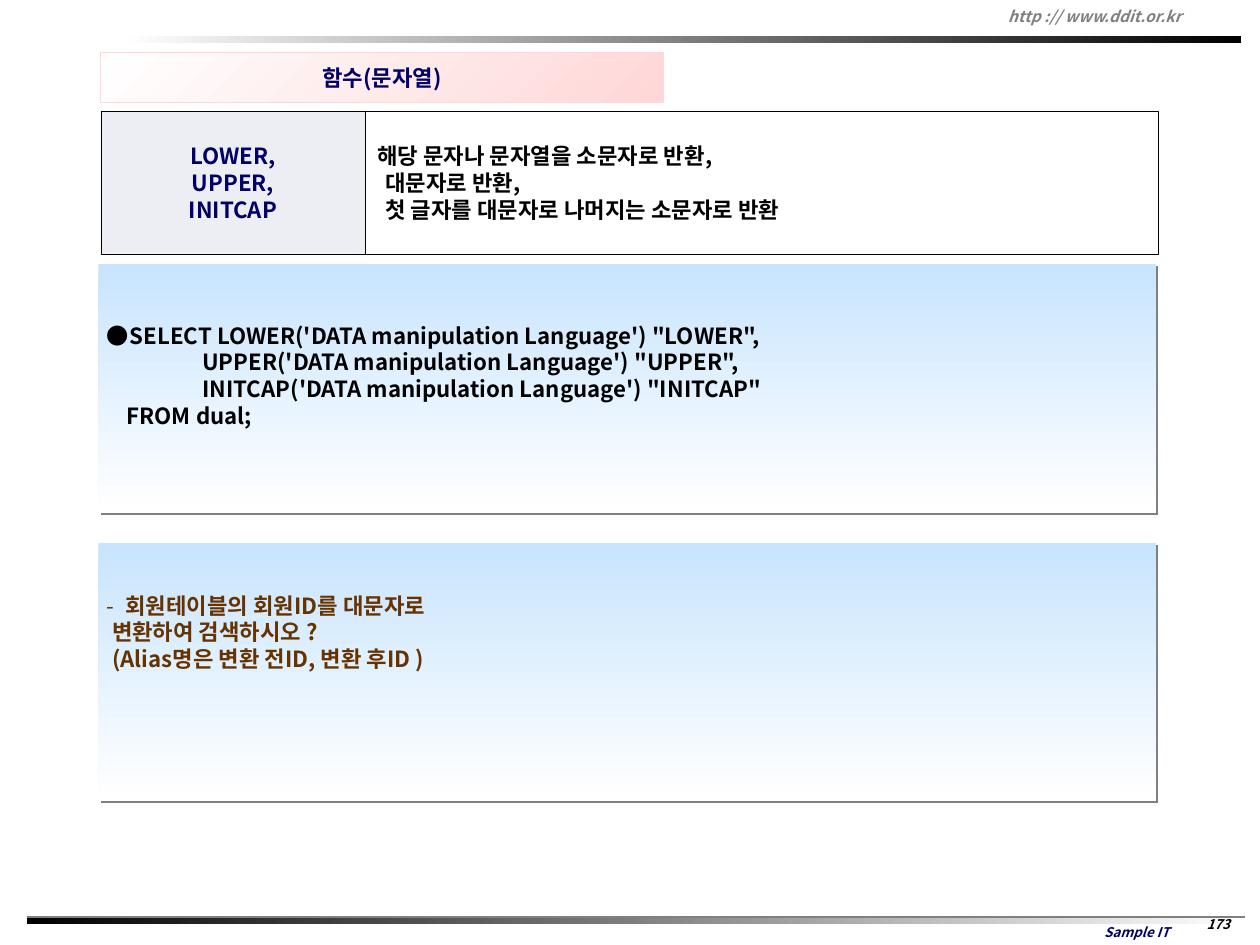
from dataclasses import dataclass
from typing import NamedTuple

from lxml.etree import SubElement
from pptx import Presentation
from pptx.dml.color import RGBColor
from pptx.enum.shapes import MSO_CONNECTOR, MSO_SHAPE
from pptx.enum.text import MSO_ANCHOR, MSO_AUTO_SIZE, PP_ALIGN
from pptx.oxml.ns import qn
from pptx.util import Pt


@dataclass(frozen=True)
class Theme:
    font: str = "Noto Sans CJK KR"
    black: str = "000000"
    white: str = "FFFFFF"
    gray: str = "808080"
    navy: str = "000066"
    brown: str = "663300"
    pink: str = "FFD7D7"
    sky: str = "C8E4FE"
    pale: str = "EDEEF3"
    body: int = 20
    header: int = 14
    footer: int = 12
    leading: float = 1.2


class Box(NamedTuple):
    left: float
    top: float
    width: float
    height: float


class Line(NamedTuple):
    text: str
    indent: float = 0
    bullet: str = ""


THEME = Theme()


def color(value):
    return RGBColor.from_string(value)


def place(shape, box):
    shape.left, shape.top, shape.width, shape.height = (Pt(length) for length in box)


def fill_gradient(shape, start, end, angle):
    """Fill with two colours; the angle runs counterclockwise."""
    shape.fill.gradient()
    shape.fill.gradient_angle = angle
    for stop, value in zip(shape.fill.gradient_stops, (start, end)):
        stop.color.rgb = color(value)


def outline(shape, value, width):
    shape.line.color.rgb = color(value)
    shape.line.width = Pt(width)


def drop_shadow(shape):
    shape.shadow.inherit = False
    effects = shape.element.spPr.find(qn("a:effectLst"))
    shadow = SubElement(effects, qn("a:outerShdw"), blurRad="0", dist=str(Pt(2.8)),
                        dir="2700000", algn="tl", rotWithShape="0")
    SubElement(shadow, qn("a:srgbClr"), val=THEME.gray)


def set_bullet(paragraph, line, hanging):
    properties = paragraph._p.get_or_add_pPr()
    properties.set("marL", str(Pt(line.indent)))
    properties.set("indent", str(-Pt(hanging)))
    if line.bullet:
        SubElement(properties, qn("a:buFont"), typeface=THEME.font)
        SubElement(properties, qn("a:buChar"), char=line.bullet)
    else:
        SubElement(properties, qn("a:buNone"))


def write(shape, lines, size, value, align=PP_ALIGN.LEFT, italic=False):
    frame = shape.text_frame
    frame.word_wrap = True
    frame.auto_size = MSO_AUTO_SIZE.NONE
    frame.vertical_anchor = MSO_ANCHOR.MIDDLE
    for number, line in enumerate(lines):
        paragraph = frame.add_paragraph() if number else frame.paragraphs[0]
        paragraph.add_run().text = line.text
        paragraph.alignment = align
        paragraph.line_spacing = Pt(size * THEME.leading)
        paragraph.space_before = paragraph.space_after = Pt(0)
        set_bullet(paragraph, line, line.indent if line.bullet else 0)
        font = paragraph.font
        font.name, font.size = THEME.font, Pt(size)
        font.bold, font.italic = True, italic
        font.color.rgb = color(value)
        latin = paragraph._p.pPr.find(qn("a:defRPr")).find(qn("a:latin"))
        latin.addnext(latin.makeelement(qn("a:ea"), typeface=THEME.font))


def add_rectangle(slide, box):
    shape = slide.shapes.add_shape(MSO_SHAPE.RECTANGLE, *(Pt(length) for length in box))
    shape.shadow.inherit = False
    return shape


def add_bar(slide, box, start, end):
    bar = add_rectangle(slide, box)
    fill_gradient(bar, start, end, 0)
    bar.line.fill.background()


def add_label(slide, box, text, size, value, align=PP_ALIGN.LEFT):
    label = slide.shapes.add_textbox(*(Pt(length) for length in box))
    write(label, [Line(text)], size, value, align, italic=True)


def add_header(slide, box):
    add_bar(slide, Box(box.left + 109.4, box.top + 32.4, 1008, 6.5), THEME.white, THEME.black)
    add_label(slide, Box(box.left + 900, box.top + 1.4, 231, 27.4),
              "http :// www.ddit.or.kr", THEME.header, THEME.gray)


def add_footer(slide, box):
    add_bar(slide, Box(box.left, box.top, box.width, 6.5), THEME.black, THEME.white)
    rule = slide.shapes.add_connector(
        MSO_CONNECTOR.STRAIGHT, Pt(box.left), Pt(box.top),
        Pt(box.left + box.width), Pt(box.top))
    outline(rule, THEME.gray, 1.5)
    SubElement(rule.element.spPr, qn("a:effectLst"))
    add_label(slide, Box(box.left + 930.2, box.top + 1.4, 136.8, 23.8),
              "Sample IT", THEME.footer, THEME.navy, PP_ALIGN.CENTER)
    add_label(slide, Box(box.left + 1052, box.top - 5, 40, 22.3),
              "173", THEME.footer, THEME.black, PP_ALIGN.CENTER)


def fill_title(title, box, text):
    place(title, box)
    fill_gradient(title, THEME.white, THEME.pink, 315)
    outline(title, THEME.pink, 0.75)
    write(title, [Line(text)], THEME.body, THEME.navy, PP_ALIGN.CENTER)


def add_definition(slide, box, names, meanings):
    """Put the function names in the left quarter and their meanings beside them."""
    split = box.width / 4
    cells = (
        (Box(box.left, box.top, split, box.height), names,
         THEME.pale, THEME.navy, PP_ALIGN.CENTER),
        (Box(box.left + split, box.top, box.width - split, box.height), meanings,
         THEME.white, THEME.black, PP_ALIGN.LEFT),
    )
    for cell_box, lines, background, value, align in cells:
        cell = add_rectangle(slide, cell_box)
        cell.fill.solid()
        cell.fill.fore_color.rgb = color(background)
        outline(cell, THEME.black, 0.25)
        write(cell, lines, THEME.body, value, align)


def fill_panel(panel, box, lines, value, lines_below):
    """Centre the text above a free strip of the given number of lines."""
    place(panel, box)
    fill_gradient(panel, THEME.sky, THEME.white, 270)
    panel.line.fill.background()
    drop_shadow(panel)
    frame = panel.text_frame
    frame.margin_left = frame.margin_right = Pt(7.2)
    frame.margin_top = Pt(6.5)
    frame.margin_bottom = Pt(6.5 + lines_below * THEME.body * THEME.leading)
    write(panel, lines, THEME.body, value)


def main():
    presentation = Presentation()
    presentation.slide_width, presentation.slide_height = Pt(1134), Pt(850.3)
    slide = presentation.slides.add_slide(presentation.slide_layouts[3])
    title, example, exercise = slide.placeholders

    add_footer(slide, Box(24.5, 825.1, 1095.8, 25.2))
    add_header(slide, Box(0, 0, 1134, 39))
    fill_title(title, Box(90.7, 47.5, 506.2, 44.6), "함수(문자열)")
    add_definition(
        slide, Box(90.7, 100.1, 952, 128.2),
        [Line("LOWER,"), Line("UPPER,"), Line("INITCAP")],
        [Line("해당 문자나 문자열을 소문자로 반환,", 4),
         Line("대문자로 반환,", 11),
         Line("첫 글자를 대문자로 나머지는 소문자로 반환", 11)])
    fill_panel(
        example, Box(88.6, 237.6, 951.8, 223.9),
        [Line("SELECT LOWER('DATA manipulation Language') \"LOWER\",", 21, "●"),
         Line("                   UPPER('DATA manipulation Language') \"UPPER\","),
         Line("                   INITCAP('DATA manipulation Language') \"INITCAP\""),
         Line("    FROM dual;")],
        THEME.black, 1)
    fill_panel(
        exercise, Box(88.6, 488.2, 951.8, 232.6),
        [Line("회원테이블의 회원ID를 대문자로", 17, "-"),
         Line("변환하여 검색하시오 ?", 5),
         Line("(Alias명은 변환 전ID, 변환 후ID )", 5)],
        THEME.brown, 3)
    presentation.save("out.pptx")


if __name__ == "__main__":
    main()
